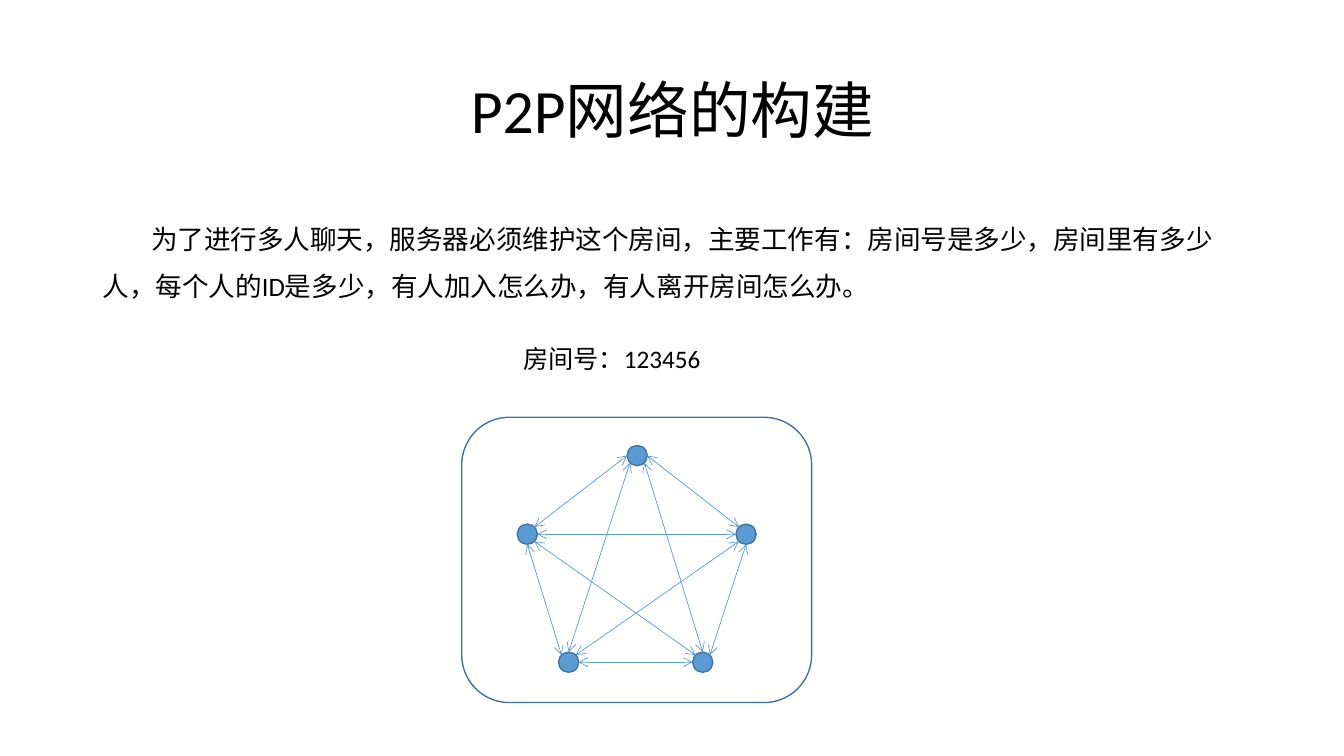
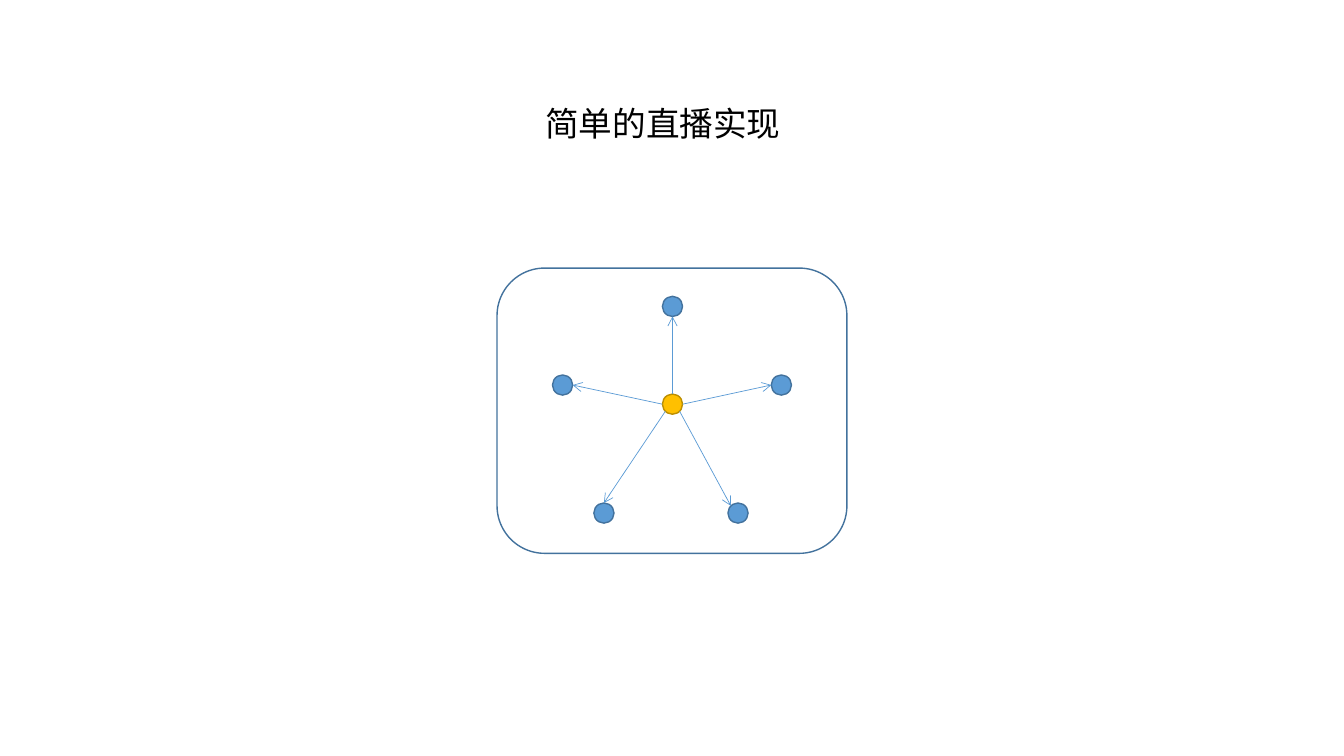
from pptx import Presentation
from pptx.dml.color import RGBColor
from pptx.enum.lang import MSO_LANGUAGE_ID
from pptx.enum.shapes import MSO_CONNECTOR, MSO_SHAPE
from pptx.enum.text import MSO_ANCHOR, MSO_AUTO_SIZE, PP_ALIGN
from pptx.oxml.ns import qn
from pptx.util import Inches, Pt
from lxml.etree import SubElement

COLORS = {
    "text": "000000",
    "peer": "5B9BD5",
    "peer_edge": "43729D",
    "host": "FFC000",
    "host_edge": "BC8E00",
}
FONT = "Calibri"

# Room layout, relative to the room's top left corner
ROOM_WIDTH, ROOM_HEIGHT = 3.47, 2.83
RADIUS = 0.1
PEERS = {
    "top": (1.74, 0.38),
    "left": (0.65, 1.16),
    "right": (2.82, 1.16),
    "bottom_left": (1.06, 2.43),
    "bottom_right": (2.39, 2.43),
}
HOST = (1.74, 1.35)

# Where a link meets a node, in radii from the node's centre
DIAGONAL = 0.71
PORTS = {
    "N": (0, -1), "S": (0, 1), "W": (-1, 0), "E": (1, 0),
    "NW": (-DIAGONAL, -DIAGONAL), "NE": (DIAGONAL, -DIAGONAL),
    "SW": (-DIAGONAL, DIAGONAL), "SE": (DIAGONAL, DIAGONAL),
}
MESH_LINKS = [
    ("right", "S", "bottom_right", "NE"),
    ("bottom_left", "E", "bottom_right", "W"),
    ("left", "E", "right", "W"),
    ("left", "SE", "bottom_right", "NW"),
    ("left", "NE", "top", "W"),
    ("right", "SW", "bottom_left", "NE"),
    ("left", "S", "bottom_left", "NW"),
    ("right", "NW", "top", "E"),
    ("top", "SE", "bottom_right", "N"),
    ("bottom_left", "N", "top", "SW"),
]
LIVE_LINKS = [
    ("host", "N", "top", "S"),
    ("host", "SW", "bottom_left", "N"),
    ("host", "SE", "bottom_right", "NW"),
    ("host", "E", "right", "W"),
    ("host", "W", "left", "E"),
]


def color(name):
    return RGBColor.from_string(COLORS[name])


def add_text(page, text, bounds, size, indent=0, frame_format=None, para_format=None):
    box = page.shapes.add_textbox(*map(Inches, bounds))
    frame = box.text_frame
    for name, value in ({"word_wrap": True} | (frame_format or {})).items():
        setattr(frame, name, value)
    para = frame.paragraphs[0]
    for name, value in (para_format or {}).items():
        setattr(para, name, value)
    if indent:
        para._p.get_or_add_pPr().set("indent", str(Inches(indent)))
    span = para.add_run()
    span.text = text
    font_format = {"name": FONT, "size": Pt(size),
                   "language_id": MSO_LANGUAGE_ID.SIMPLIFIED_CHINESE}
    for name, value in font_format.items():
        setattr(span.font, name, value)
    span.font.color.rgb = color("text")


def add_label(page, text, bounds, size):
    add_text(page, text, bounds, size, frame_format={
        "word_wrap": False, "auto_size": MSO_AUTO_SIZE.SHAPE_TO_FIT_TEXT})


def add_outline(page, kind, bounds, edge, fill=None):
    shape = page.shapes.add_shape(kind, *map(Inches, bounds))
    shape.shadow.inherit = False
    if fill:
        shape.fill.solid()
        shape.fill.fore_color.rgb = color(fill)
    else:
        shape.fill.background()
    shape.line.color.rgb = color(edge)
    shape.line.width = Pt(1)


def add_link(page, start, end, arrows):
    link = page.shapes.add_connector(
        MSO_CONNECTOR.STRAIGHT, *map(Inches, (*start, *end)))
    link.line.color.rgb = color("peer")
    link.line.width = Pt(0.5)
    outline = link.line._get_or_add_ln()
    for arrow in arrows:
        SubElement(outline, qn(f"a:{arrow}"), type="arrow")
    SubElement(link._element.spPr, qn("a:effectLst"))


def add_room(page, left, top, links, arrows, has_host=False):
    add_outline(page, MSO_SHAPE.FLOWCHART_ALTERNATE_PROCESS,
                (left, top, ROOM_WIDTH, ROOM_HEIGHT), "peer_edge")
    # Nodes
    nodes = PEERS | ({"host": HOST} if has_host else {})
    for name, (x, y) in nodes.items():
        role = "host" if name == "host" else "peer"
        bounds = (left + x - RADIUS, top + y - RADIUS, 2 * RADIUS, 2 * RADIUS)
        add_outline(page, MSO_SHAPE.FLOWCHART_CONNECTOR, bounds, f"{role}_edge", role)

    # Links
    def port(name, side):
        (x, y), (across, down) = nodes[name], PORTS[side]
        return left + x + across * RADIUS, top + y + down * RADIUS

    for source, source_side, target, target_side in links:
        add_link(page, port(source, source_side), port(target, target_side), arrows)


def build_network_slide(page):
    add_text(page, "P2P网络的构建", (0.92, 0.4, 11.5, 1.45), 44,
             frame_format={"vertical_anchor": MSO_ANCHOR.MIDDLE},
             para_format={"alignment": PP_ALIGN.CENTER, "line_spacing": 0.9})
    add_text(page, "为了进行多人聊天，服务器必须维护这个房间，主要工作有："
             "房间号是多少，房间里有多少人，每个人的ID是多少，"
             "有人加入怎么办，有人离开房间怎么办。",
             (0.92, 2, 11.3, 1.12), 19, indent=0.48,
             para_format={"line_spacing": 1.5})
    add_label(page, "房间号：123456", (5.09, 3.36, 2.02, 0.4), 18)
    add_room(page, 4.58, 4.14, MESH_LINKS, ("headEnd", "tailEnd"))


def build_live_slide(page):
    add_label(page, "简单的直播实现", (5.31, 0.97, 2.53, 0.5), 24)
    add_room(page, 4.93, 2.66, LIVE_LINKS, ("tailEnd",), has_host=True)


def main():
    deck = Presentation()
    deck.slide_width, deck.slide_height = Inches(13.33), Inches(7.5)
    for build in (build_network_slide, build_live_slide):
        build(deck.slides.add_slide(deck.slide_layouts[6]))
    deck.save("out.pptx")


if __name__ == "__main__":
    main()
